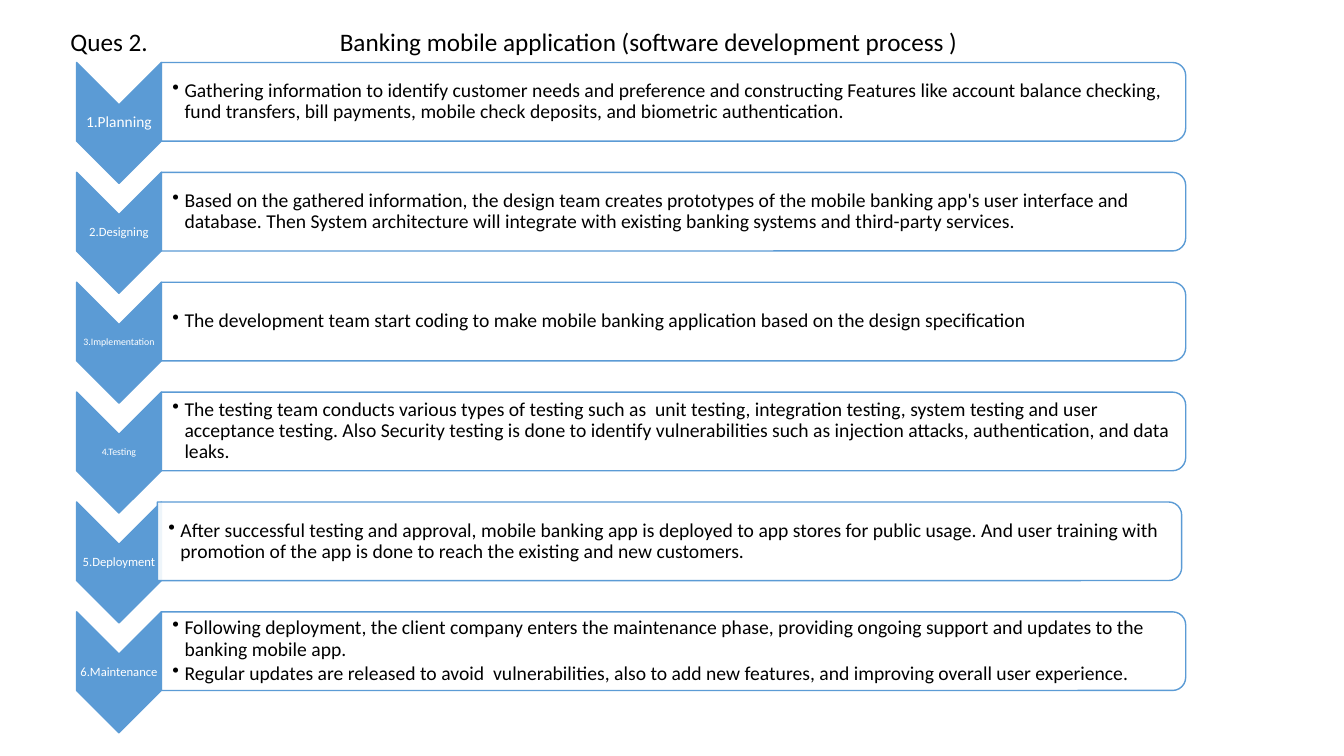
import dataclasses

import lxml.etree
import pptx
import pptx.dml.color
import pptx.enum.shapes
import pptx.enum.text
import pptx.oxml.ns
import pptx.util

PX = 9144
SHAPE = pptx.enum.shapes.MSO_SHAPE
ANCHOR = pptx.enum.text.MSO_ANCHOR
ALIGN = pptx.enum.text.PP_ALIGN


@dataclasses.dataclass(frozen=True)
class Theme:
    """Colours, font and type sizes of the slide."""
    font: str = "Calibri"
    accent: str = "5B9BD5"
    paper: str = "FFFFFF"
    ink: str = "000000"
    heading: int = 18
    detail: int = 14


THEME = Theme()
ROW_PITCH = 109

STAGES = [
    ("1.Planning", 11, 0, [
        "Gathering information to identify customer needs and preference and constructing Features like "
        "account balance checking, fund transfers, bill payments, mobile check deposits, and biometric "
        "authentication."]),
    ("2.Designing", 9, 0, [
        "Based on the gathered information, the design team creates prototypes of the mobile banking app's "
        "user interface and database. Then System architecture will integrate with existing banking systems "
        "and third-party services."]),
    ("3.Implementation", 7, 0, [
        "The development team start coding to make mobile banking application based on the design "
        "specification"]),
    ("4.Testing", 7, 0, [
        "The testing team conducts various types of testing such as  unit testing, integration testing, "
        "system testing and user acceptance testing. Also Security testing is done to identify "
        "vulnerabilities such as injection attacks, authentication, and data leaks."]),
    ("5.Deployment", 9, -4, [
        "After successful testing and approval, mobile banking app is deployed to app stores for public "
        "usage. And user training with promotion of the app is done to reach the existing and new customers."]),
    ("6.Maintenance", 9, 0, [
        "Following deployment, the client company enters the maintenance phase, providing ongoing support "
        "and updates to the banking mobile app.",
        "Regular updates are released to avoid  vulnerabilities, also to add new features, and improving "
        "overall user experience."]),
]


def px(*lengths):
    """Turn px lengths into EMU."""
    return [pptx.util.Emu(round(length * PX)) for length in lengths]


def rgb(colour):
    """Turn a hex string into a colour."""
    return pptx.dml.color.RGBColor.from_string(colour)


def write(paragraph, wording, size, colour):
    """Add one formatted run to a paragraph."""
    run = paragraph.add_run()
    run.text = wording
    run.font.name = THEME.font
    run.font.size = pptx.util.Pt(size)
    run.font.color.rgb = rgb(colour)


def set_frame(frame, anchor, insets, wrap=True):
    """Set anchor, wrapping and px insets of a text frame."""
    frame.auto_size = pptx.enum.text.MSO_AUTO_SIZE.NONE
    frame.vertical_anchor = anchor
    frame.word_wrap = wrap
    (frame.margin_left, frame.margin_top,
     frame.margin_right, frame.margin_bottom) = px(*insets)


def add_turned(slide, preset, left, top, width, height, fill):
    """Add a preset turned by 90 degrees that fills the given box."""
    turned = slide.shapes.add_shape(
        preset, *px(left + (width - height) / 2, top + (height - width) / 2, height, width))
    turned.rotation = 90
    turned.shadow.inherit = False
    turned.fill.solid()
    turned.fill.fore_color.rgb = rgb(fill)
    turned.line.color.rgb = rgb(THEME.accent)
    turned.line.width = pptx.util.Pt(1)
    return turned


def set_bullet(paragraph):
    """Give a paragraph a hanging round bullet."""
    properties = paragraph._p.get_or_add_pPr()
    indent, = px(12)
    properties.set("marL", str(indent))
    properties.set("indent", str(-indent))
    bullet = lxml.etree.SubElement(properties, pptx.oxml.ns.qn("a:buChar"))
    bullet.set("char", "•")


def add_arrow(slide, left, top, name, size):
    """Draw the downward chevron of a stage with its name."""
    add_turned(slide, SHAPE.CHEVRON, left, top, 84, 120, THEME.accent)
    label = slide.shapes.add_textbox(*px(left, top + 42, 84, 36)).text_frame
    set_frame(label, ANCHOR.MIDDLE, (1, 1, 1, 1))
    paragraph = label.paragraphs[0]
    paragraph.alignment = ALIGN.CENTER
    paragraph.line_spacing = 0.9
    write(paragraph, name, size, THEME.paper)


def add_panel(slide, left, top, details):
    """Draw the rounded panel of a stage with its bulleted details."""
    panel = add_turned(slide, SHAPE.ROUND_2_SAME_RECTANGLE, left, top, 1016, 78, THEME.paper)
    colour = panel.fill._xPr.find(".//" + pptx.oxml.ns.qn("a:srgbClr"))
    lxml.etree.SubElement(colour, pptx.oxml.ns.qn("a:alpha")).set("val", "90000")
    body = slide.shapes.add_textbox(*px(left, top + 4, 1012, 70)).text_frame
    set_frame(body, ANCHOR.MIDDLE, (11, 1, 1, 1))
    for index, detail in enumerate(details):
        paragraph = body.add_paragraph() if index else body.paragraphs[0]
        paragraph.line_spacing = 0.9
        paragraph.space_after = pptx.util.Pt(2)
        set_bullet(paragraph)
        write(paragraph, detail, THEME.detail, THEME.ink)


def add_stages(slide, left, top):
    """Stack the stages at equal steps from the given corner."""
    for row, (name, size, shift, details) in enumerate(STAGES):
        row_top = top + row * ROW_PITCH
        add_arrow(slide, left, row_top, name, size)
        add_panel(slide, left + 84 + shift, row_top, details)


def add_heading(slide, left, top):
    """Place the title and the question number on one line."""
    title = slide.shapes.title
    title.left, title.top, title.width, title.height = px(left + 267, top, 751, 40)
    question = slide.shapes.add_textbox(*px(left, top, 98, 40))
    for holder, wording, wrap in (
            (title, "Banking mobile application (software development process )", True),
            (question, "Ques 2.", False)):
        set_frame(holder.text_frame, ANCHOR.TOP, (10, 5, 10, 5), wrap)
        paragraph = holder.text_frame.paragraphs[0]
        paragraph.alignment = ALIGN.LEFT
        write(paragraph, wording, THEME.heading, THEME.ink)


def main():
    """Build and save the slide."""
    deck = pptx.Presentation()
    deck.slide_width, deck.slide_height = px(1333, 750)
    slide = deck.slides.add_slide(deck.slide_layouts.get_by_name("Title Only"))
    add_stages(slide, 76, 62)
    add_heading(slide, 60, 21)
    deck.save("out.pptx")


if __name__ == "__main__":
    main()
